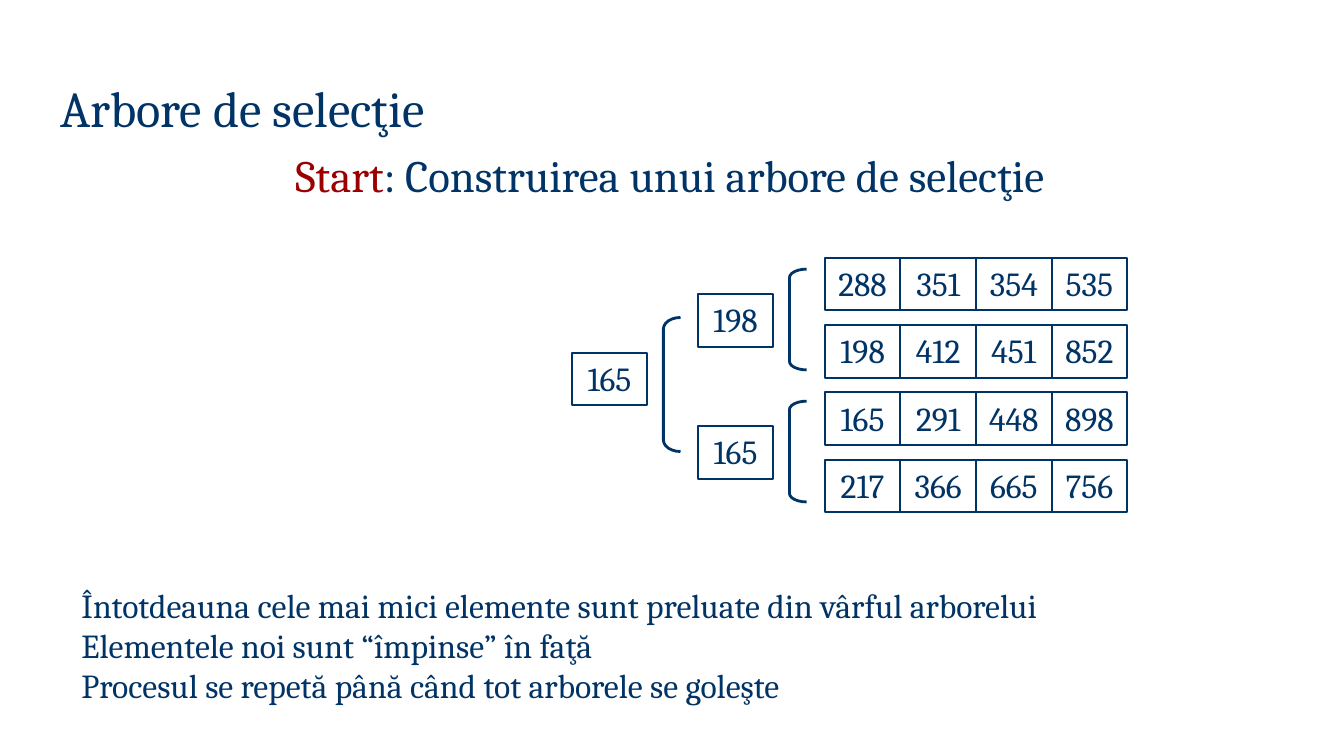
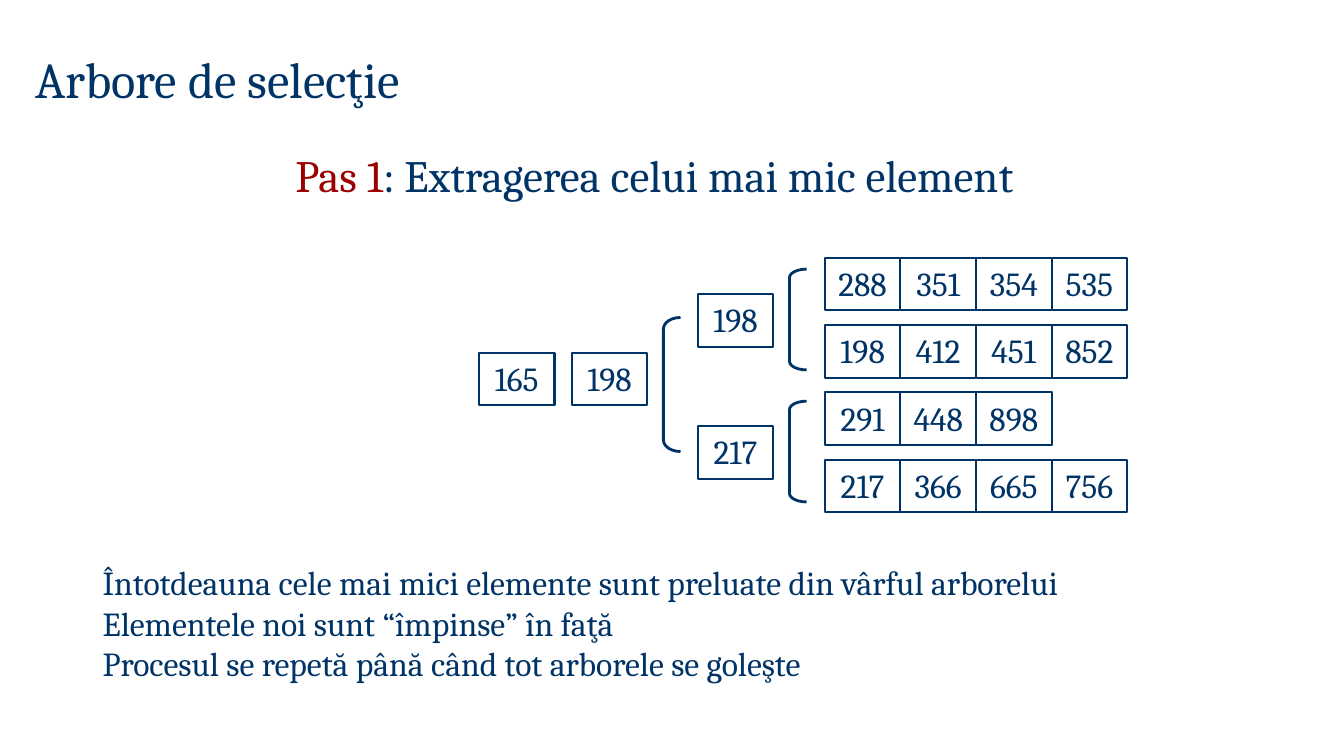
"""Build two slides that show a selection tree before and after its first step."""
import dataclasses

import pptx
import pptx.dml.color
import pptx.enum.shapes
import pptx.enum.text
import pptx.util


@dataclasses.dataclass(frozen=True)
class Theme:
    ink: str = "003366"
    accent: str = "9A0000"
    paper: str = "FFFFFF"
    font: str = "Cambria"
    title: int = 36
    heading: int = 32
    body: int = 24
    cell_line: float = 1.5
    bracket_line: float = 2


theme = Theme()
inch = pptx.util.Inches
shape_kind = pptx.enum.shapes.MSO_SHAPE
align = pptx.enum.text.PP_ALIGN
anchor = pptx.enum.text.MSO_ANCHOR

TITLE = "Arbore de selecţie"
RULES = [
    "Întotdeauna cele mai mici elemente sunt preluate din vârful arborelui",
    "Elementele noi sunt “împinse” în faţă",
    "Procesul se repetă până când tot arborele se goleşte",
]
CELL_WIDTH, CELL_HEIGHT = 0.75, 0.52
GRID_LEFT, GRID_TOP, ROW_STEP = 8.18, 2.56, 2 / 3
OUTPUT_LEFT, ROOT_TOP = 4.75, 3.5
BRACKET_GAP, BRACKET_WIDTH = 0.91, 0.17
NODES = [
    (6.92, 2.92, 0.25, 1, 0.5),
    (6.92, 4.23, 0.25, 1, 0.5),
    (5.67, ROOT_TOP, 0.35, 1.33, 0.67),
]
STEPS = [
    {
        "title_area": (0.5, 0.71, 11.17, 0.71),
        "rules_area": (0.71, 5.75, 11.42, 1.31),
        "heading": ("Start", ": Construirea unui arbore de selecţie"),
        "runs": [(288, 351, 354, 535), (198, 412, 451, 852),
                 (165, 291, 448, 898), (217, 366, 665, 756)],
        "nodes": (198, 165, 165),
        "output": [],
    },
    {
        "title_area": (0.25, 0.42, 11.92, 0.71),
        "rules_area": (0.92, 5.53, 12.5, 1.31),
        "heading": ("Pas 1", ": Extragerea celui mai mic element"),
        "runs": [(288, 351, 354, 535), (198, 412, 451, 852),
                 (291, 448, 898), (217, 366, 665, 756)],
        "nodes": (198, 217, 198),
        "output": [165],
    },
]


def format_text(box, size, alignment, vertical=anchor.TOP, wrap=True):
    frame = box.text_frame
    frame.auto_size = pptx.enum.text.MSO_AUTO_SIZE.NONE
    frame.word_wrap = wrap
    frame.vertical_anchor = vertical
    for para in frame.paragraphs:
        para.alignment = alignment
        para.space_before = pptx.util.Pt(0)
        for span in para.runs:
            span.font.name = theme.font
            span.font.size = pptx.util.Pt(size)
            span.font.color.rgb = pptx.dml.color.RGBColor.from_string(theme.ink)


def add_outline(page, kind, area, line_width):
    shape = page.shapes.add_shape(kind, *map(inch, area))
    shape.shadow.inherit = False
    shape.line.color.rgb = pptx.dml.color.RGBColor.from_string(theme.ink)
    shape.line.width = pptx.util.Pt(line_width)
    return shape


deck = pptx.Presentation()
deck.slide_width, deck.slide_height = inch(13.33), inch(7.5)

for step in STEPS:
    page = deck.slides.add_slide(deck.slide_layouts[0])
    title, heading = page.placeholders
    for box, area in ((title, step["title_area"]), (heading, (2.83, 1.42, 9.25, 5.67))):
        box.left, box.top, box.width, box.height = map(inch, area)
    title.text_frame.text = TITLE
    format_text(title, theme.title, align.LEFT, anchor.BOTTOM)

    for words in step["heading"]:
        heading.text_frame.paragraphs[0].add_run().text = words
    format_text(heading, theme.heading, align.LEFT)
    label = heading.text_frame.paragraphs[0].runs[0]
    label.font.color.rgb = pptx.dml.color.RGBColor.from_string(theme.accent)

    rules = page.shapes.add_textbox(*map(inch, step["rules_area"]))
    rules.text_frame.text = "\n".join(RULES)
    format_text(rules, theme.body, align.LEFT)

    cells = [
        (GRID_LEFT + column * CELL_WIDTH, GRID_TOP + row * ROW_STEP, value)
        for row, values in enumerate(step["runs"])
        for column, value in enumerate(values)
    ]
    cells += [(node[0], node[1], value) for node, value in zip(NODES, step["nodes"])]
    cells += [(OUTPUT_LEFT, ROOT_TOP, value) for value in step["output"]]
    for left, top, value in cells:
        cell = add_outline(page, shape_kind.RECTANGLE,
                           (left, top, CELL_WIDTH, CELL_HEIGHT), theme.cell_line)
        cell.fill.solid()
        cell.fill.fore_color.rgb = pptx.dml.color.RGBColor.from_string(theme.paper)
        cell.text_frame.text = str(value)
        format_text(cell, theme.body, align.CENTER, wrap=False)

    for left, top, rise, span_height, curve in NODES:
        bracket = add_outline(page, shape_kind.LEFT_BRACKET,
                              (left + BRACKET_GAP, top - rise, BRACKET_WIDTH, span_height),
                              theme.bracket_line)
        bracket.fill.background()
        bracket.adjustments[0] = curve

deck.save("out.pptx")
